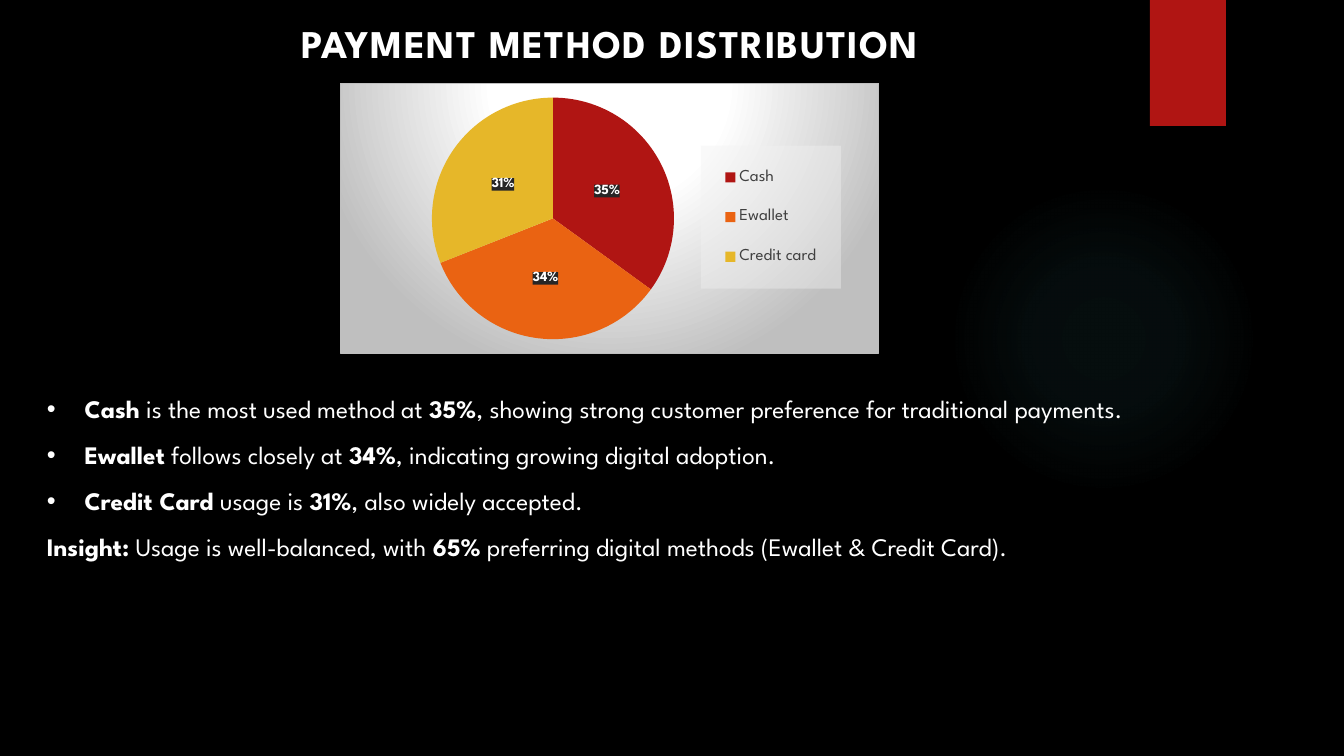
import pptx
import pptx.util
import pptx.dml.color
import pptx.chart.data
import pptx.enum.chart
import pptx.enum.dml
import pptx.enum.shapes
import pptx.enum.text
import pptx.oxml
import pptx.oxml.ns

PX = 914400 / 100.8
FONT = "League Spartan"
NS = pptx.oxml.ns.nsdecls("a", "c")
Pt = pptx.util.Pt
qn = pptx.oxml.ns.qn


def color(code):
    return pptx.dml.color.RGBColor.from_string(code)


def grad(stops, path):
    """Gradient fill XML from (place, colour, alpha) stops in percent."""
    marks = "".join(
        f'<a:gs pos="{at * 1000}"><a:srgbClr val="{code}">'
        f'<a:alpha val="{alpha * 1000}"/></a:srgbClr></a:gs>'
        for at, code, alpha in stops)
    return f'<a:gradFill {NS} rotWithShape="1"><a:gsLst>{marks}</a:gsLst>{path}</a:gradFill>'


deck = pptx.Presentation()
deck.slide_width, deck.slide_height = int(1344 * PX), int(756 * PX)
slide = deck.slides.add_slide(deck.slide_layouts[6])
slide.background.fill.solid()
slide.background.fill.fore_color.rgb = color("000000")

# Glow and red tab
kinds = pptx.enum.shapes.MSO_SHAPE
glow, tab = [
    slide.shapes.add_shape(kind, *[int(n * PX) for n in box])
    for kind, box in ((kinds.OVAL, (949, 184, 310, 310)),
                      (kinds.RECTANGLE, (1150, 0, 76, 126)))]
for shape in (glow, tab):
    shape.shadow.inherit = False
    shape.line.fill.background()
tab.fill.solid()
tab.fill.fore_color.rgb = color("B01513")
ring = ('<a:path path="circle"><a:fillToRect l="50000" t="50000" '
        'r="50000" b="50000"/></a:path>')
teal = [(0, "50B9C1", 7), (36, "50B9C1", 6), (69, "50B9C1", 0)]
geom = glow._element.spPr.find(qn("a:prstGeom"))
geom.addnext(pptx.oxml.parse_xml(grad(teal, ring)))

# Pie chart
data = pptx.chart.data.CategoryChartData()
data.categories = ["Cash", "Ewallet", "Credit card"]
data.add_series("Series 1", (35, 34, 31))
frame = slide.shapes.add_chart(
    pptx.enum.chart.XL_CHART_TYPE.PIE,
    *[int(n * PX) for n in (340, 83, 539, 271)], data)
chart = frame.chart
chart.has_title = False
chart.font.name, chart.font.size = FONT, Pt(10)
chart.font.color.rgb = color("FFFFFF")
plot = chart.plots[0]
plot.vary_by_categories = True
for i, code in enumerate(("B01513", "EA6312", "E6B729")):
    fill = plot.series[0].points[i].format.fill
    fill.solid()
    fill.fore_color.rgb = color(code)

# Labels and legend
plot.has_data_labels = True
labels = plot.data_labels
labels.show_percentage, labels.show_value = True, False
labels.number_format, labels.number_format_is_linked = "0%", False
labels.position = pptx.enum.chart.XL_LABEL_POSITION.CENTER
chart.has_legend = True
key = chart.legend
key.position = pptx.enum.chart.XL_LEGEND_POSITION.RIGHT
key.include_in_layout = False
for font, size, code, bold in ((labels.font, 10, "FFFFFF", True),
                               (key.font, 12, "404040", False)):
    font.name, font.size, font.bold = FONT, Pt(size), bold
    font.color.rgb = color(code)

# Chart, legend and label backgrounds
halo = ('<a:path path="circle"><a:fillToRect l="50000" t="-80000" '
        'r="50000" b="180000"/></a:path>')
back = grad([(0, "FFFFFF", 100), (39, "FFFFFF", 100), (100, "BFBFBF", 100)], halo)
edge = '<a:ln w="9525"><a:solidFill><a:srgbClr val="BFBFBF"/></a:solidFill></a:ln>'
pale = grad([(0, "F2F2F2", 40), (100, "F2F2F2", 40)], '<a:lin ang="0"/>')
dark = ('<a:solidFill><a:srgbClr val="262626"><a:alpha val="75000"/>'
        '</a:srgbClr></a:solidFill>')
for part, look in ((chart._chartSpace, back + edge),
                   (key._element, pale), (labels._element, dark)):
    part.find(qn("c:txPr")).addprevious(
        pptx.oxml.parse_xml(f"<c:spPr {NS}>{look}</c:spPr>"))

# Places of the pie and the legend, as shares of the chart
area = chart._chartSpace.chart.plotArea
for part, inner, box in (
        (area, '<c:layoutTarget val="inner"/>', (0.17, 0.05, 0.45, 0.9)),
        (key._element, "", (0.67, 0.23, 0.26, 0.53))):
    for old in part.findall(qn("c:layout")):
        part.remove(old)
    modes = '<c:xMode val="edge"/><c:yMode val="edge"/>'
    sides = "".join(f'<c:{n} val="{v}"/>' for n, v in zip("xywh", box))
    spot = pptx.oxml.parse_xml(
        f"<c:layout {NS}><c:manualLayout>{inner}{modes}{sides}"
        "</c:manualLayout></c:layout>")
    part.insert(0 if part is area else 1, spot)

# Text: runs alternate between bold and plain
title = [["PAYMENT METHOD DISTRIBUTION"]]
notes = [
    ["Cash", " is the most used method at ", "35%",
     ", showing strong customer preference for traditional payments."],
    ["Ewallet", " follows closely at ", "34%",
     ", indicating growing digital adoption."],
    ["Credit Card", " usage is ", "31%", ", also widely accepted."],
    ["Insight:", " Usage is well-balanced, with ", "65%",
     " preferring digital methods (Ewallet & Credit Card)."],
]
align = pptx.enum.text.PP_ALIGN
body = {"line_spacing": 1.15, "space_after": Pt(8), "alignment": align.LEFT}
for box, paras, size, look in (
        ((37, 384, 1139, 217), notes, 18, body),
        ((274, 14, 672, 57), title, 28, {"alignment": align.CENTER})):
    text = slide.shapes.add_textbox(*[int(n * PX) for n in box]).text_frame
    text.word_wrap = True
    text.auto_size = pptx.enum.text.MSO_AUTO_SIZE.SHAPE_TO_FIT_TEXT
    for i, words in enumerate(paras):
        para = text.paragraphs[0] if i == 0 else text.add_paragraph()
        for name, value in look.items():
            setattr(para, name, value)
        if paras is notes and i < 3:
            props = para._p.get_or_add_pPr()
            props.set("marL", "342900")
            props.set("indent", "-342900")
            for mark in ('buFont {} typeface="Arial"/>', 'buChar {} char="•"/>',
                         'tabLst {}><a:tab pos="457200" algn="l"/></a:tabLst>'):
                props.append(pptx.oxml.parse_xml("<a:" + mark.format(NS)))
        for j, word in enumerate(words):
            run = para.add_run()
            run.text = word
            run.font.name, run.font.size = FONT, Pt(size)
            run.font.bold = j % 2 == 0
            run.font.color.rgb = color("FFFFFF")
            if paras is title:
                run.font._element.set("spc", "100")

deck.save("out.pptx")
